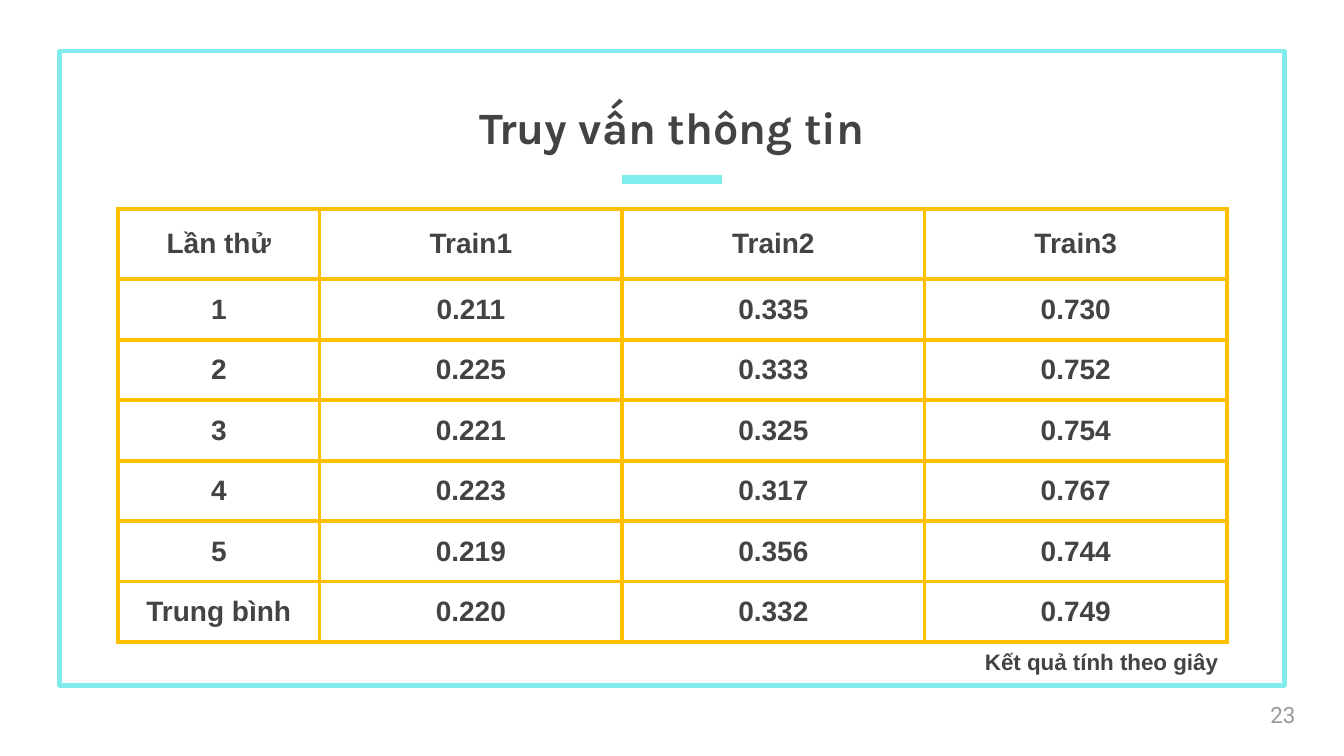
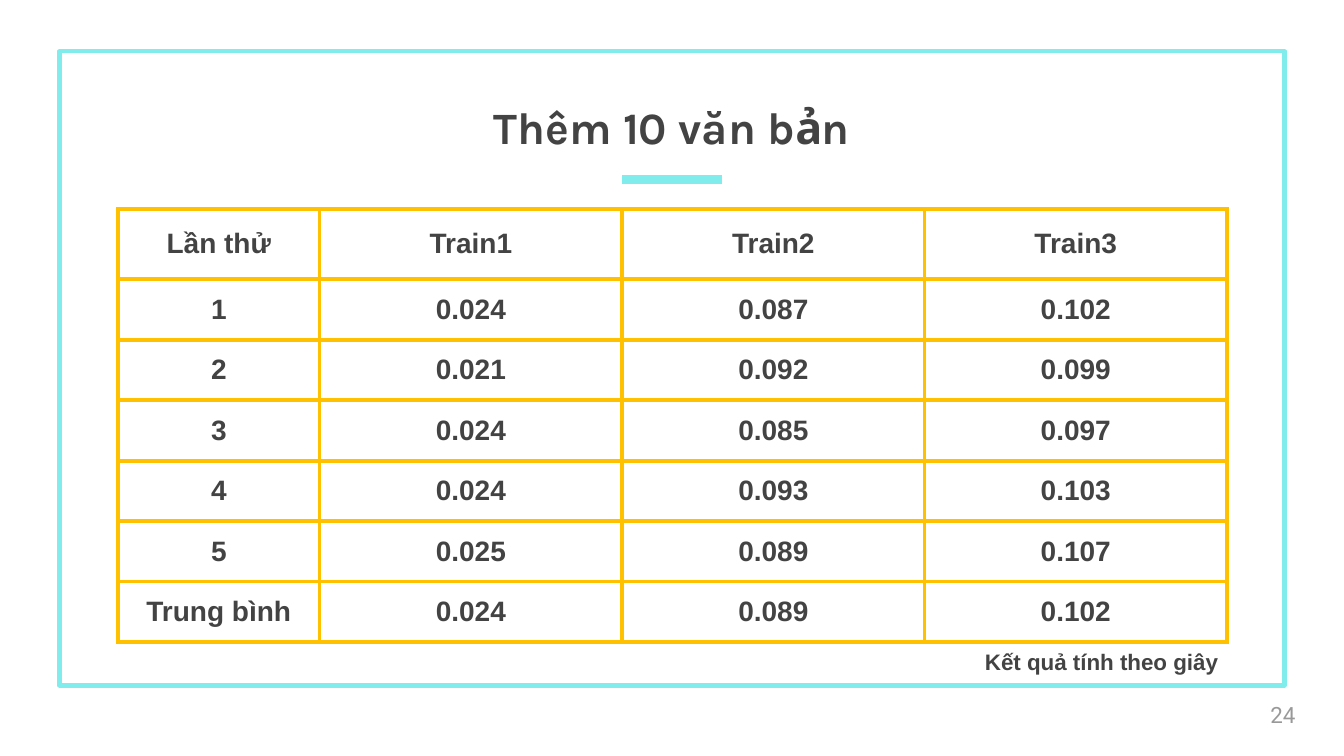
from lxml import etree
from pptx import Presentation
from pptx.dml.color import RGBColor
from pptx.enum.shapes import MSO_CONNECTOR, MSO_SHAPE
from pptx.enum.text import MSO_ANCHOR, MSO_AUTO_SIZE, PP_ALIGN
from pptx.oxml.ns import qn
from pptx.util import Inches, Pt

AQUA = RGBColor(0x81, 0xEC, 0xEC)
AMBER = RGBColor(0xFF, 0xC0, 0x00)
WHITE = RGBColor(0xFF, 0xFF, 0xFF)
DARK = RGBColor(0x43, 0x43, 0x43)
GREY = RGBColor(0x99, 0x99, 0x99)

LEFT, CENTER = PP_ALIGN.LEFT, PP_ALIGN.CENTER
TOP, MIDDLE, BOTTOM = MSO_ANCHOR.TOP, MSO_ANCHOR.MIDDLE, MSO_ANCHOR.BOTTOM
FIXED, GROW = MSO_AUTO_SIZE.NONE, MSO_AUTO_SIZE.SHAPE_TO_FIT_TEXT
RECT, STRAIGHT = MSO_SHAPE.RECTANGLE, MSO_CONNECTOR.STRAIGHT

TITLE_FONT = {"name": "Karla", "size": Pt(32), "bold": True}
CELL_FONT = {"name": "Arial", "size": Pt(20), "bold": True}
NOTE_FONT = {"name": "Arial", "size": Pt(16), "bold": True}
PAGE_FONT = {"name": "Roboto", "size": Pt(16), "bold": False}

WIDTH, HEIGHT = 13.33, 7.5
FRAME_BOX = (0.59, 0.51, 12.15, 6.29)
TITLE_BOX = (0, 0.32, WIDTH, 1.33)
RULE_BOX = (6.17, 1.78, 0.99, 0)
TABLE_BOX = (1.17, 2.07, 11, 4.3)
NOTE_BOX = (9.67, 6.38, 2.79, 0.37)
PAGE_BOX = (12.47, 6.8, 0.8, 0.57)
PAD = Inches(0.13)
FIRST_COL, HEAD_ROW = 2, 0.7

HEADS = ["Lần thử", "Train1", "Train2", "Train3"]
LABELS = ["1", "2", "3", "4", "5", "Trung bình"]
NOTE = "Kết quả tính theo giây"
SLIDES = [
    (23, "Truy vấn thông tin", [
        (0.211, 0.335, 0.730),
        (0.225, 0.333, 0.752),
        (0.221, 0.325, 0.754),
        (0.223, 0.317, 0.767),
        (0.219, 0.356, 0.744),
        (0.220, 0.332, 0.749)]),
    (24, "Thêm 10 văn bản", [
        (0.024, 0.087, 0.102),
        (0.021, 0.092, 0.099),
        (0.024, 0.085, 0.097),
        (0.024, 0.093, 0.103),
        (0.025, 0.089, 0.107),
        (0.024, 0.089, 0.102)]),
]


def set_all(target, values):
    for name, value in values.items():
        setattr(target, name, value)


def to_emu(box):
    return [Inches(n) for n in box]


def write(frame, text, font, color=DARK, align=LEFT):
    frame.text = text
    para = frame.paragraphs[0]
    para.alignment = align
    run = para.runs[0]
    set_all(run.font, font)
    run.font.color.rgb = color


def add_frame(slide, box):
    rect = slide.shapes.add_shape(RECT, *to_emu(box))
    rect.shadow.inherit = False
    rect.fill.background()
    rect.line.color.rgb = AQUA
    rect.line.width = Pt(3)


def add_rule(slide, box):
    left, top, width, height = box
    ends = to_emu((left, top, left + width, top + height))
    rule = slide.shapes.add_connector(STRAIGHT, *ends)
    rule.line.color.rgb = AQUA
    rule.line.width = Pt(6)
    etree.SubElement(rule._element.spPr, qn("a:effectLst"))


def set_title(slide, text, box):
    title = slide.shapes.title
    set_all(title, dict(zip(("left", "top", "width", "height"), to_emu(box))))
    fit_text(title.text_frame, BOTTOM, PAD)
    write(title.text_frame, text, TITLE_FONT, align=CENTER)


def fit_text(frame, anchor, pad):
    set_all(frame, {
        "word_wrap": True, "auto_size": FIXED, "vertical_anchor": anchor,
        "margin_left": pad, "margin_right": pad,
        "margin_top": pad, "margin_bottom": pad})


def add_page(slide, number, box):
    frame = slide.shapes.add_textbox(*to_emu(box)).text_frame
    fit_text(frame, MIDDLE, PAD)
    write(frame, str(number), PAGE_FONT, GREY)


def add_note(slide, text, box):
    frame = slide.shapes.add_textbox(*to_emu(box)).text_frame
    set_all(frame, {"word_wrap": True, "auto_size": GROW,
                    "vertical_anchor": TOP})
    write(frame, text, NOTE_FONT)


def add_border(cell):
    props = cell._tc.get_or_add_tcPr()
    for side in ("lnL", "lnR", "lnT", "lnB"):
        line = etree.SubElement(props, qn(f"a:{side}"), w=str(Pt(3)))
        fill = etree.SubElement(line, qn("a:solidFill"))
        etree.SubElement(fill, qn("a:srgbClr"), val=str(AMBER))


def share(first, total, count):
    """Give the first part its own size and split the rest evenly."""
    return [first] + [(total - first) / (count - 1)] * (count - 1)


def add_grid(slide, rows, box):
    shape = slide.shapes.add_table(len(rows), len(HEADS), *to_emu(box))
    table = shape.table
    for col, width in zip(table.columns, share(FIRST_COL, box[2], len(HEADS))):
        col.width = Inches(width)
    for row, height in zip(table.rows, share(HEAD_ROW, box[3], len(rows))):
        row.height = Inches(height)
    for row, texts in zip(table.rows, rows):
        for cell, text in zip(row.cells, texts):
            cell.vertical_anchor = MIDDLE
            add_border(cell)
            cell.fill.solid()
            cell.fill.fore_color.rgb = WHITE
            write(cell.text_frame, text, CELL_FONT, align=CENTER)


def add_result(deck, number, title, values):
    slide = deck.slides.add_slide(deck.slide_layouts.get_by_name("Title Only"))
    add_frame(slide, FRAME_BOX)
    add_rule(slide, RULE_BOX)
    set_title(slide, title, TITLE_BOX)
    add_page(slide, number, PAGE_BOX)
    body = [[label] + [f"{n:.3f}" for n in times]
            for label, times in zip(LABELS, values)]
    add_grid(slide, [HEADS] + body, TABLE_BOX)
    add_note(slide, NOTE, NOTE_BOX)


def main():
    deck = Presentation()
    deck.slide_width, deck.slide_height = Inches(WIDTH), Inches(HEIGHT)
    for number, title, values in SLIDES:
        add_result(deck, number, title, values)
    deck.save("out.pptx")


if __name__ == "__main__":
    main()
